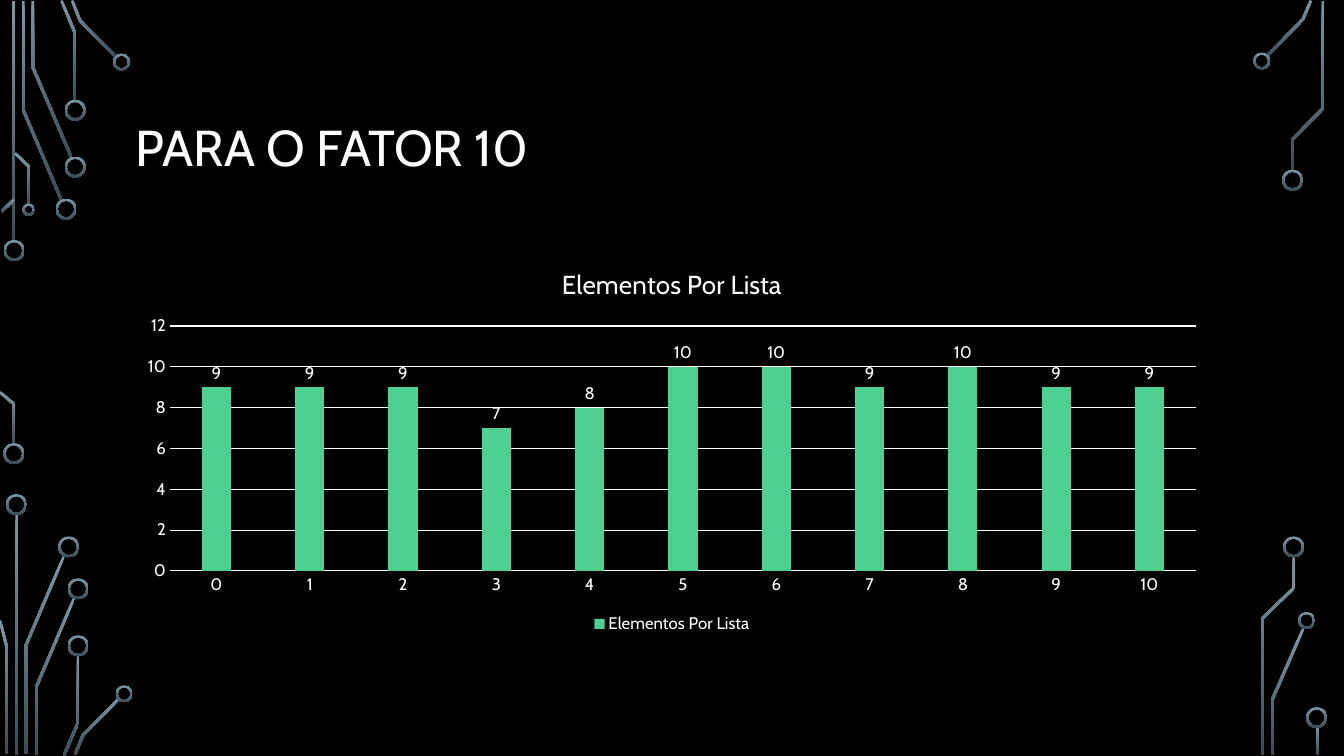
"""Builds a slide with a column chart of elements per list, framed by circuit traces."""
import math

import pptx
import pptx.chart.data
import pptx.dml.color
import pptx.enum.chart
import pptx.enum.shapes
import pptx.enum.text
import pptx.util

Pt = pptx.util.Pt
SHAPES = pptx.enum.shapes.MSO_SHAPE
CHART = pptx.enum.chart

BLACK = pptx.dml.color.RGBColor(0x00, 0x00, 0x00)
WHITE = pptx.dml.color.RGBColor(0xFF, 0xFF, 0xFF)
GREEN = pptx.dml.color.RGBColor(0x4F, 0xD0, 0x93)
STEEL = pptx.dml.color.RGBColor(0x7C, 0x96, 0xA3)
SLATE = pptx.dml.color.RGBColor(0x3B, 0x4C, 0x54)

TRACE_WIDTH = 1.9
RING_WIDTH = 1.5
BARS = [(8.7, 0.7, 172), (10.9, 367.2, 172), (940.3, 519.1, 20.2)]
TRACES = [
    [(16.6, 0.7), (16.6, 78.5), (43.9, 142.9)],
    [(23.4, 0.7), (23.4, 47.9), (51.1, 112.7)],
    [(43.9, 0.4), (53.7, 23.8), (53.7, 72)],
    [(51.5, 0.4), (57.2, 14.8), (83.2, 41)],
    [(1.1, 151.2), (10.1, 142.6)],
    [(0, 280.1), (10.1, 288.7), (10.1, 317.5)],
    [(10.8, 109.4), (20.9, 119.2), (20.9, 146.2)],
    [(18.4, 538.6), (18.4, 461.2), (45.7, 397.1)],
    [(4.7, 538.6), (4.7, 461.5), (0, 443.2)],
    [(25.6, 539.3), (25.6, 491.4), (52.9, 427.3)],
    [(45.7, 539.6), (55.8, 516.2), (55.8, 468)],
    [(53.6, 538.9), (59.4, 524.9), (85, 499)],
    [(905, 40), (930.6, 14), (936.4, 0.4)],
    [(909, 539.3), (909, 499.3), (931, 448.9)],
    [(923, 121.7), (923, 99.7), (945, 77.4), (945, 0.7)],
    [(901.8, 539.3), (901.8, 441.7), (924.1, 420.1), (924.1, 397.4)],
]
RINGS = {
    15: [(10.1, 178.9), (9.9, 324), (47.2, 149.4), (53.7, 119.3), (53.7, 78.8),
         (11.7, 360.4), (49.1, 390.7), (55.8, 420.6), (55.8, 461.3),
         (923.3, 128.7), (924, 390.7), (940.5, 512.6)],
    12.2: [(86.8, 44.3), (88.7, 495.6), (901.3, 43.6), (933.3, 443.2)],
    8.9: [(20.5, 149.8)],
}
ELEMENTS_PER_LIST = [9, 9, 9, 7, 8, 10, 10, 9, 10, 9, 9]


def assign(target, values):
    """Set each named attribute of the target."""
    for name, value in values.items():
        setattr(target, name, value)


def trace_edge(route, offset):
    """Return the route shifted sideways by the offset, with mitred corners."""
    angles = [math.atan2(y2 - y1, x2 - x1)
              for (x1, y1), (x2, y2) in zip(route, route[1:])]
    edge = []
    for (x, y), before, after in zip(route, angles[:1] + angles, angles + angles[-1:]):
        middle = (before + after) / 2
        reach = offset / math.cos((after - before) / 2)
        edge.append((Pt(x - reach * math.sin(middle)), Pt(y + reach * math.cos(middle))))
    return edge


class CircuitSlide:
    """Holds the style and the current slide."""

    typeface = "Cabin"

    def __init__(self, slide):
        """Take the slide and blacken its background."""
        self.slide = slide
        slide.background.fill.solid()
        slide.background.fill.fore_color.rgb = BLACK

    def style_font(self, font, size):
        """Apply the typeface in white at the given size."""
        assign(font, {"name": self.typeface, "size": Pt(size), "bold": False})
        font.color.rgb = WHITE

    def style_metal(self, part):
        """Give a circuit part its vertical gradient, without line or shadow."""
        part.shadow.inherit = False
        part.line.fill.background()
        part.fill.gradient()
        part.fill.gradient_angle = 270
        for stop, position, color in zip(part.fill.gradient_stops, (0, 1), (STEEL, SLATE)):
            stop.position = position
            stop.color.rgb = color

    def bar(self, left, top, height):
        """Draw a straight vertical trace."""
        self.style_metal(self.slide.shapes.add_shape(
            SHAPES.RECTANGLE, Pt(left), Pt(top), Pt(TRACE_WIDTH), Pt(height)))

    def trace(self, route):
        """Draw a bent trace along the route."""
        near, far = (trace_edge(route, side * TRACE_WIDTH / 2) for side in (1, -1))
        builder = self.slide.shapes.build_freeform(*near[0])
        builder.add_line_segments(near[1:] + far[::-1], close=True)
        self.style_metal(builder.convert_to_shape())

    def ring(self, x, y, diameter):
        """Draw a ring around a centre."""
        ring = self.slide.shapes.add_shape(
            SHAPES.DONUT, Pt(x - diameter / 2), Pt(y - diameter / 2),
            Pt(diameter), Pt(diameter))
        ring.adjustments[0] = RING_WIDTH / diameter
        self.style_metal(ring)

    def title(self, wording, left, top, width, height):
        """Write the slide title."""
        frame = self.slide.shapes.add_textbox(
            Pt(left), Pt(top), Pt(width), Pt(height)).text_frame
        assign(frame, {"word_wrap": True,
                       "vertical_anchor": pptx.enum.text.MSO_ANCHOR.MIDDLE})
        heading = frame.paragraphs[0]
        heading.line_spacing = 0.9
        run = heading.add_run()
        run.text = wording
        self.style_font(run.font, 36)

    def column_chart(self, name, values, left, top, width, height):
        """Draw the column chart with title, legend and value labels."""
        chart_data = pptx.chart.data.CategoryChartData()
        chart_data.categories = [str(index) for index in range(len(values))]
        chart_data.add_series(name, values)
        chart = self.slide.shapes.add_chart(
            CHART.XL_CHART_TYPE.COLUMN_CLUSTERED, Pt(left), Pt(top),
            Pt(width), Pt(height), chart_data).chart
        self.style_font(chart.font, 10)
        assign(chart, {"has_title": True, "has_legend": True})
        chart.chart_title.include_in_layout = False
        caption = chart.chart_title.text_frame.paragraphs[0].add_run()
        caption.text = name
        self.style_font(caption.font, 18.6)
        assign(chart.legend, {"position": CHART.XL_LEGEND_POSITION.BOTTOM,
                              "include_in_layout": False})
        self.style_font(chart.legend.font, 12)

        for axis in (chart.category_axis, chart.value_axis):
            assign(axis, {"major_tick_mark": CHART.XL_TICK_MARK.NONE,
                          "minor_tick_mark": CHART.XL_TICK_MARK.NONE})
            self.style_font(axis.tick_labels.font, 12)
        assign(chart.value_axis, {"minimum_scale": 0, "maximum_scale": 12, "major_unit": 2})
        chart.value_axis.format.line.fill.background()
        for line in (chart.category_axis.format.line,
                     chart.value_axis.major_gridlines.format.line):
            line.color.rgb = WHITE
            line.width = Pt(0.75)

        plot = chart.plots[0]
        assign(plot, {"gap_width": 219, "overlap": -27, "vary_by_categories": False})
        columns = plot.series[0]
        columns.format.fill.solid()
        columns.format.fill.fore_color.rgb = GREEN
        assign(columns.data_labels, {"show_value": True,
                                     "position": CHART.XL_LABEL_POSITION.OUTSIDE_END})
        self.style_font(columns.data_labels.font, 12)


def main():
    """Build and save the deck."""
    deck = pptx.Presentation()
    assign(deck, {"slide_width": Pt(960), "slide_height": Pt(540)})
    page = CircuitSlide(deck.slides.add_slide(deck.slide_layouts[6]))
    for bar in BARS:
        page.bar(*bar)
    for route in TRACES:
        page.trace(route)
    for diameter, centres in RINGS.items():
        for x, y in centres:
            page.ring(x, y, diameter)
    page.title("PARA O FATOR 10", 90, 49, 780, 116.6)
    page.column_chart("Elementos Por Lista", ELEMENTS_PER_LIST, 90, 177.1, 780, 278.6)
    deck.save("out.pptx")


if __name__ == "__main__":
    main()
